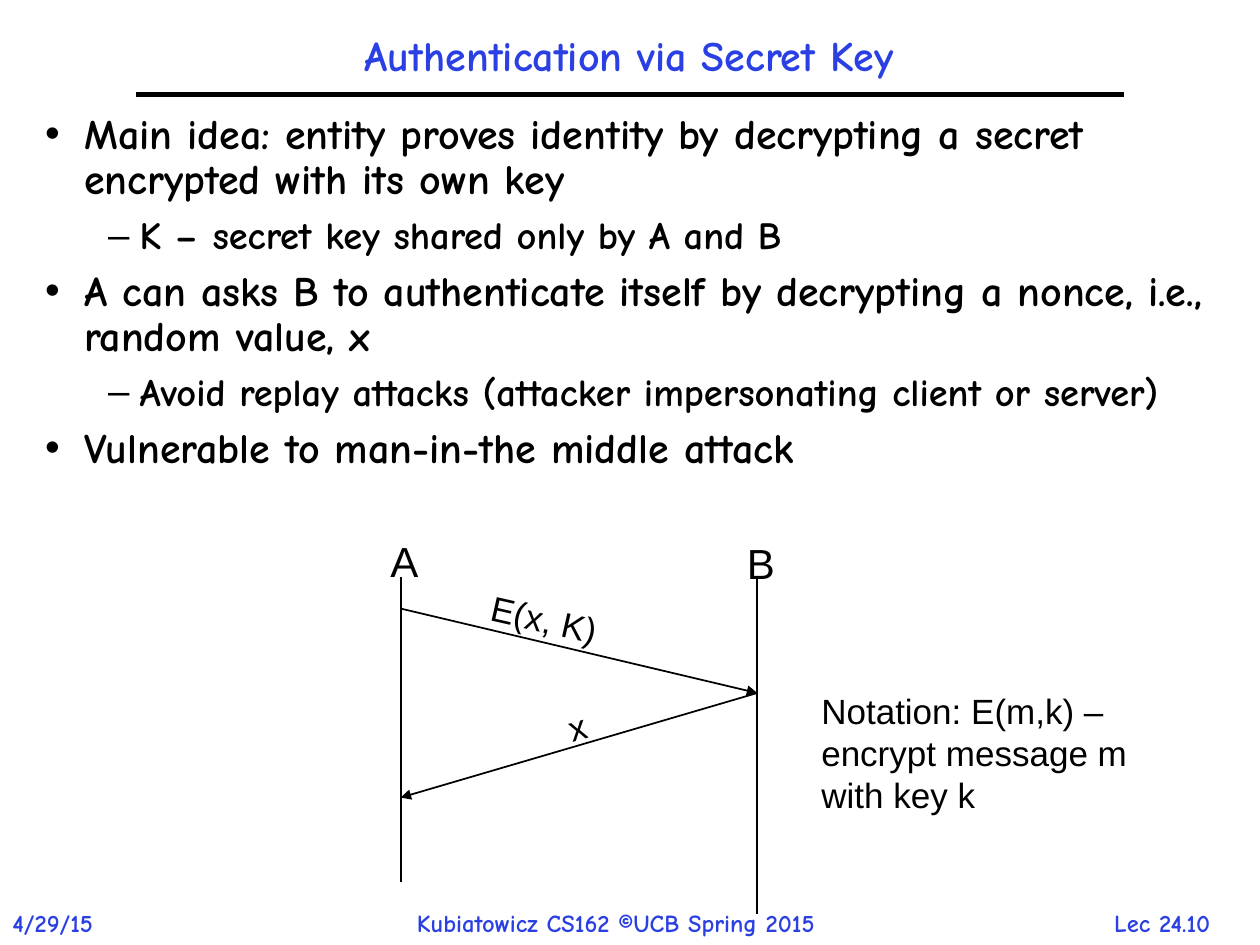
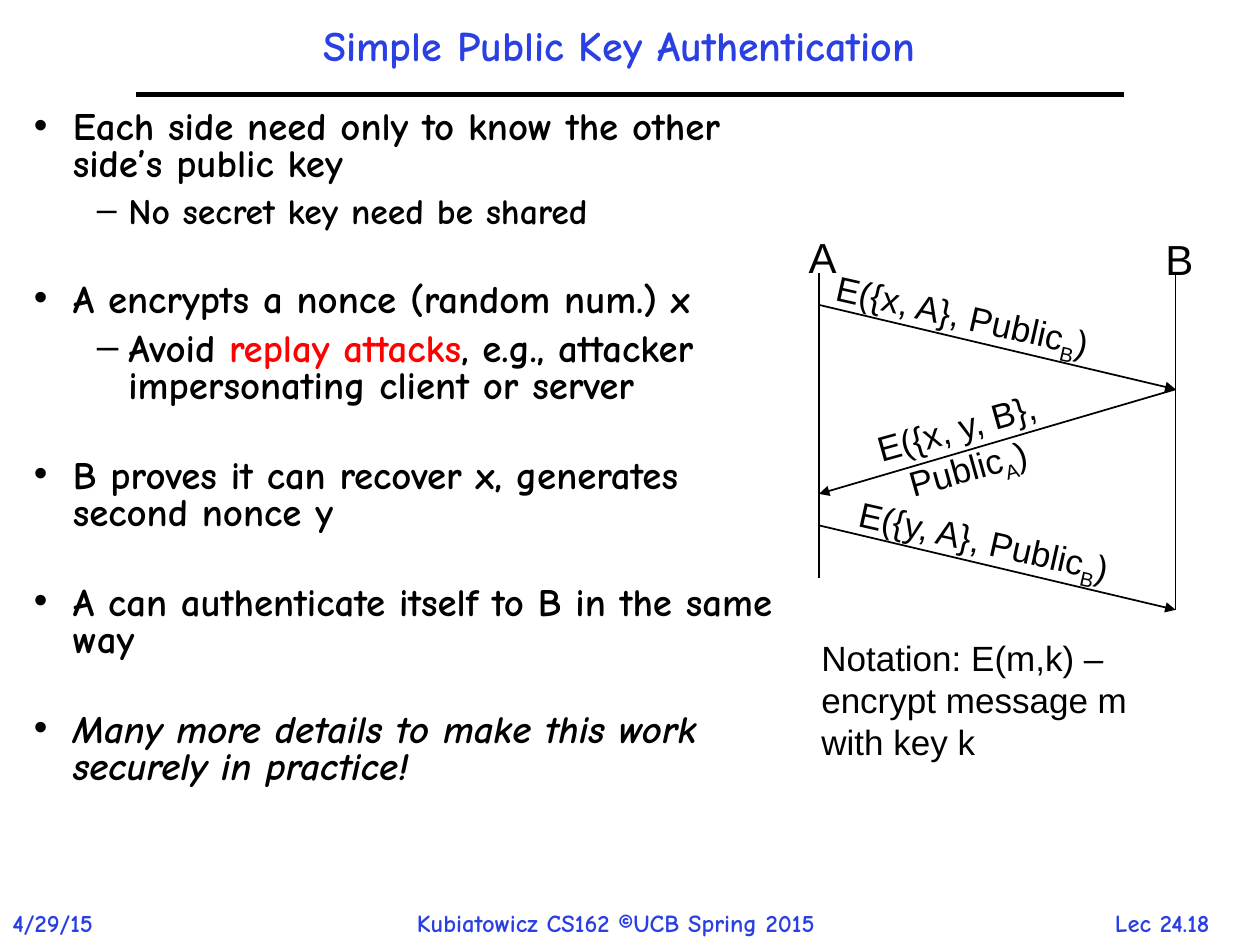
from lxml import etree
from pptx import Presentation
from pptx.dml.color import RGBColor
from pptx.enum import shapes, text
from pptx.oxml import ns
from pptx.util import Inches, Pt

BLUE = RGBColor(0x2A, 0x40, 0xE2)
BLACK = RGBColor(0, 0, 0)
RED = RGBColor(0xFF, 0, 0)
COMIC = "Comic Neue"
ARIAL = "Arial"
LEFT = text.PP_ALIGN.LEFT
MID = text.PP_ALIGN.CENTER
SPAN = 2.83
BULLETS = (("•", 0.31, -0.31), ("–", 0.75, -0.25))
NOTE = "Notation: E(m,k) – encrypt message m with key k"
DOWN, UP = 12.8, -15.6


class Deck:
    def __init__(self):
        self.prs = Presentation()
        self.prs.slide_width = Inches(10)
        self.prs.slide_height = Inches(7.5)

    def page(self, title, place, number):
        self.slide = self.prs.slides.add_slide(self.prs.slide_layouts[6])
        self.label("4/29/15", (0, 7.16, 1, 0.34), 14, COMIC, BLUE)
        self.label("Kubiatowicz CS162 ©UCB Spring 2015",
                   (3.21, 7.16, 3.87, 0.34), 14, COMIC, BLUE)
        self.label(number, (8.56, 7.16, 1.33, 0.33), 14, COMIC, BLUE, MID)
        self.line((1.08, 0.75), (8.92, 0.75), 3)
        box = self.label(title, place, 24, COMIC, BLUE, MID, wrap=True)
        box.text_frame.vertical_anchor = text.MSO_ANCHOR.MIDDLE
        box.text_frame.paragraphs[0].line_spacing = 0.9

    def box(self, place, wrap):
        box = self.slide.shapes.add_textbox(*map(Inches, place))
        box.text_frame.word_wrap = wrap
        return box

    def style(self, run, size, face, color=BLACK):
        run.font.size = Pt(size)
        run.font.name = face
        run.font.bold = face == COMIC
        run.font.color.rgb = color

    def label(self, words, place, size, face=ARIAL, color=BLACK,
              align=LEFT, wrap=False):
        box = self.box(place, wrap)
        para = box.text_frame.paragraphs[0]
        para.text = words
        para.alignment = align
        self.style(para.runs[0], size, face, color)
        return box

    def line(self, start, end, width=1, arrow=False):
        ends = map(Inches, (*start, *end))
        line = self.slide.shapes.add_connector(shapes.MSO_CONNECTOR.STRAIGHT, *ends)
        line.line.color.rgb = BLACK
        line.line.width = Pt(width)
        if arrow:
            etree.SubElement(line.line._get_or_add_ln(), ns.qn("a:tailEnd"),
                             type="triangle")
        etree.SubElement(line._element.spPr, ns.qn("a:effectLst"))

    def body(self, place, spacing, items):
        frame = self.box(place, True).text_frame
        for i, (level, size, gap, words) in enumerate(items):
            para = frame.add_paragraph() if i else frame.paragraphs[0]
            para.level = level
            para.line_spacing = spacing
            para.space_before = Pt(gap)
            mark, left, hang = BULLETS[level]
            props = para._p.get_or_add_pPr()
            props.set("marL", str(Inches(left)))
            props.set("indent", str(Inches(hang)))
            etree.SubElement(props, ns.qn("a:buFont"), typeface=ARIAL)
            etree.SubElement(props, ns.qn("a:buChar"), char=mark)
            for part in words if isinstance(words, tuple) else (words,):
                run = para.add_run()
                run.text = part
                self.style(run, size, COMIC)
        return frame

    def message(self, x, y, words, sub, turn):
        wide, high = 2.4, 0.43
        box = self.label(words, (x - wide / 2, y - high / 2, wide, high), 20, align=MID)
        box.rotation = turn
        if sub:
            para = box.text_frame.paragraphs[0]
            for part in (sub, ")"):
                run = para.add_run()
                run.text = part
                self.style(run, 20, ARIAL)
            para.runs[1]._r.get_or_add_rPr().set("baseline", "-25000")

    def chat(self, x, y, messages):
        for name, side, drop in (("A", 0, 2.42), ("B", SPAN, 2.67)):
            self.line((x + side, y), (x + side, y + drop))
            self.label(name, (x + side - 0.18, y - 0.38 + side * 0.005, 0.35, 0.36), 24)
        for turn, start, end, mid, high, words, sub in messages:
            ends = (x, x + SPAN) if turn > 0 else (x + SPAN, x)
            self.line((ends[0], y + start), (ends[1], y + end), arrow=True)
            self.message(x + mid, y + high, words, sub, turn)

    def note(self, top):
        self.label(NOTE, (6.42, top, 3, 1.42), 20, wrap=True)


def main():
    deck = Deck()
    deck.page("Authentication via Secret Key", (1.08, 0.17, 7.83, 0.58), "Lec 24.10")
    deck.body((0.26, 0.85, 9.49, 5.58), 0.9, (
        (0, 24, 7, "Main idea: entity proves identity by decrypting a secret "
                   "encrypted with its own key"),
        (1, 22, 7, "K – secret key shared only by A and B"),
        (0, 24, 7, "A can asks B to authenticate itself by decrypting a nonce, "
                   "i.e., random value, x"),
        (1, 22, 7, "Avoid replay attacks (attacker impersonating client or server)"),
        (0, 24, 7, "Vulnerable to man-in-the middle attack"),
    ))
    deck.chat(3.18, 4.58, (
        (DOWN, 0.25, 0.92, 1.14, 0.33, "E(x, K)", ""),
        (UP, 0.92, 1.75, 1.4, 1.19, "x", ""),
    ))
    deck.note(5.42)

    deck.page("Simple Public Key Authentication", (1, -0.08, 7.83, 0.92), "Lec 24.18")
    frame = deck.body((0.17, 0.83, 6.17, 6.42), 0.8, (
        (0, 22.2, 6.5, "Each side need only to know the other side’s public key"),
        (1, 20.4, 6.5, "No secret key need be shared"),
        (0, 22.2, 30, "A encrypts a nonce (random num.) x"),
        (1, 22.2, 6.5, ("Avoid ", "replay attacks",
                        ", e.g., attacker impersonating client or server")),
        (0, 22.2, 30, "B proves it can recover x, generates second nonce y"),
        (0, 22.2, 30, "A can authenticate itself to B in the same way"),
        (0, 22.2, 30, "Many more details to make this work securely in practice!"),
    ))
    frame.paragraphs[3].runs[1].font.color.rgb = RED
    frame.paragraphs[6].runs[0].font.italic = True
    deck.chat(6.5, 2.17, (
        (DOWN, 0.25, 0.92, 1.14, 0.33, "E({x, A}, Public", "B"),
        (UP, 0.92, 1.75, 1.09, 1.22, "E({x, y, B}, Public", "A"),
        (DOWN, 2, 2.67, 1.31, 2.12, "E({y, A}, Public", "B"),
    ))
    deck.note(5)
    deck.prs.save("out.pptx")


if __name__ == "__main__":
    main()
